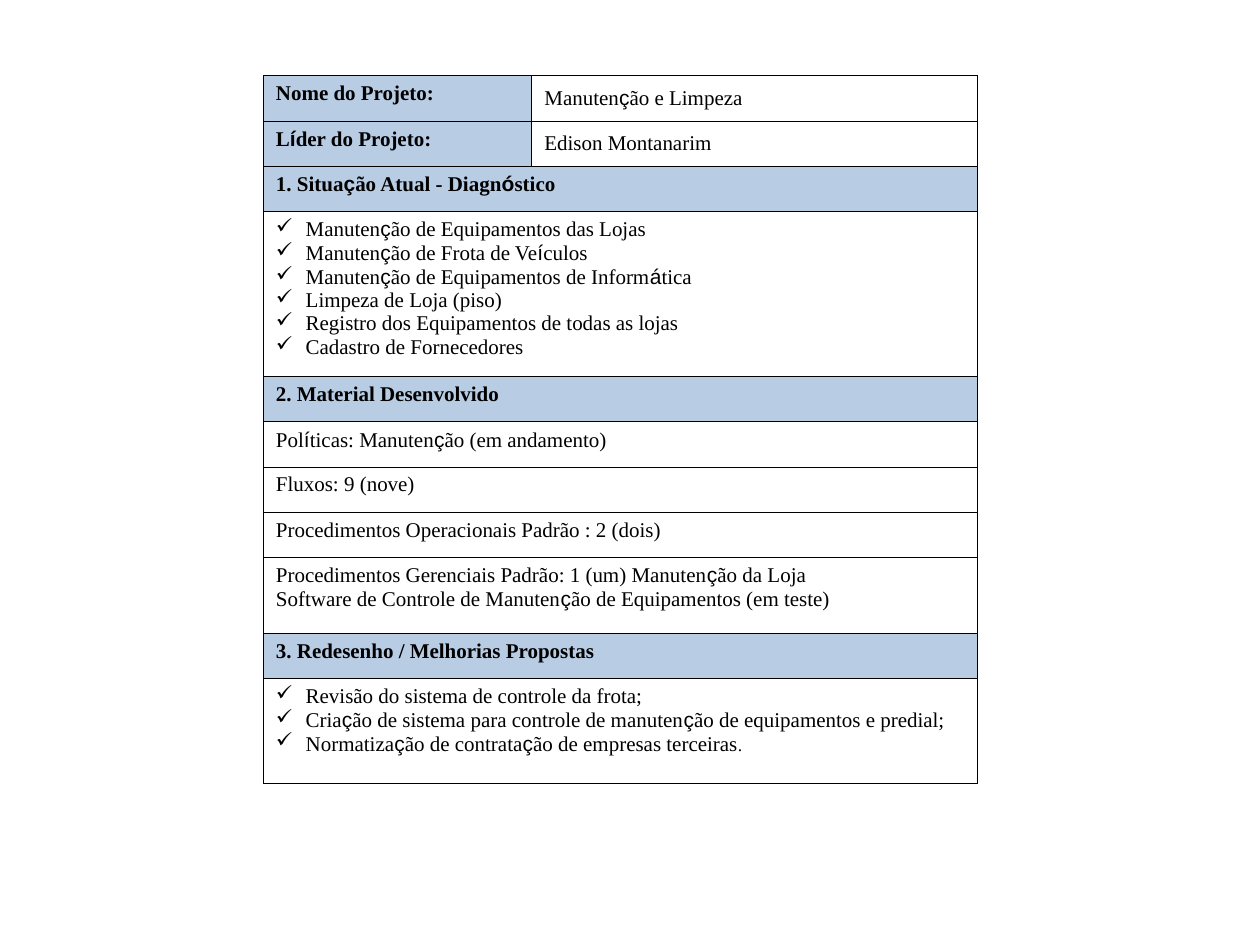
"""Build a one-slide project summary table."""
from dataclasses import dataclass
from itertools import groupby

from lxml.etree import SubElement
from pptx import Presentation
from pptx.dml.color import RGBColor
from pptx.enum.text import MSO_ANCHOR, PP_ALIGN
from pptx.oxml.ns import qn
from pptx.table import _Cell
from pptx.text.text import _Paragraph
from pptx.util import Pt

BLACK = RGBColor(0x00, 0x00, 0x00)
WHITE = RGBColor(0xFF, 0xFF, 0xFF)
HEADING_BLUE = RGBColor(0xB8, 0xCC, 0xE4)
MAIN_FONT = "Times New Roman"
ACCENT_FONT = "Arial"
ACCENTED_LETTERS = "çíóá"
TEXT_SIZE = Pt(12)
SMALL_SIZE = Pt(10)
BORDER_WIDTH = Pt(0.45)
BULLET_INDENT = Pt(17)
LINE_ROW = 25.9
COLUMN_WIDTHS = (153.4, 254.9)


@dataclass(frozen=True)
class CellContent:
    lines: tuple[str, ...]
    heading: bool = False
    bulleted: bool = False
    justified: bool = False
    middle: bool = False
    small_ending: str = ""


@dataclass(frozen=True)
class TableRow:
    cells: tuple[CellContent, ...]
    height: float = LINE_ROW


def heading(text: str) -> CellContent:
    return CellContent((text,), heading=True, justified=True)


def value(text: str) -> CellContent:
    return CellContent((text,), middle=True)


def checklist(*lines: str, small_ending: str = "") -> CellContent:
    return CellContent(lines, bulleted=True, justified=True, small_ending=small_ending)


ROWS = (
    TableRow((heading("Nome do Projeto:"), value("Manutenção e Limpeza"))),
    TableRow((heading("Líder do Projeto:"), value("Edison Montanarim"))),
    TableRow((heading("1. Situação Atual - Diagnóstico"),)),
    TableRow((checklist(
        "Manutenção de Equipamentos das Lojas",
        "Manutenção de Frota de Veículos",
        "Manutenção de Equipamentos de Informática",
        "Limpeza de Loja (piso)",
        "Registro dos Equipamentos de todas as lojas",
        "Cadastro de Fornecedores",
    ),), 94.2),
    TableRow((heading("2. Material Desenvolvido"),)),
    TableRow((CellContent(("Políticas: Manutenção (em andamento)",)),)),
    TableRow((CellContent(("Fluxos: 9 (nove)",)),)),
    TableRow((CellContent(("Procedimentos Operacionais Padrão : 2 (dois)",)),)),
    TableRow((CellContent((
        "Procedimentos Gerenciais Padrão: 1 (um) Manutenção da Loja",
        "Software de Controle de Manutenção de Equipamentos (em teste)",
    )),), 43.4),
    TableRow((heading("3. Redesenho / Melhorias Propostas"),)),
    TableRow((checklist(
        "Revisão do sistema de controle da frota;",
        "Criação de sistema para controle de manutenção de equipamentos e predial;",
        "Normatização de contratação de empresas terceiras",
        small_ending=".",
    ),), 60),
)


def add_check_bullet(para: _Paragraph) -> None:
    properties = para._p.get_or_add_pPr()
    properties.set("marL", str(BULLET_INDENT))
    properties.set("indent", str(-BULLET_INDENT))
    color = SubElement(properties, qn("a:buClr"))
    SubElement(color, qn("a:srgbClr"), val=str(BLACK))
    SubElement(properties, qn("a:buChar"), char="✓")


def add_span(para: _Paragraph, text: str, font_name: str, bold: bool, size: Pt = TEXT_SIZE) -> None:
    span = para.add_run()
    span.text = text
    span.font.name = font_name
    span.font.size = size
    span.font.bold = bold
    span.font.color.rgb = BLACK


def add_text(para: _Paragraph, text: str, bold: bool) -> None:
    for accented, letters in groupby(text, lambda letter: letter in ACCENTED_LETTERS):
        add_span(para, "".join(letters), ACCENT_FONT if accented else MAIN_FONT, bold)


def style_cell(cell: _Cell, fill_color: RGBColor) -> None:
    properties = cell._tc.get_or_add_tcPr()
    for side in ("lnL", "lnR", "lnT", "lnB"):
        border = SubElement(properties, qn(f"a:{side}"), w=str(BORDER_WIDTH))
        fill = SubElement(border, qn("a:solidFill"))
        SubElement(fill, qn("a:srgbClr"), val=str(BLACK))
    cell.fill.solid()
    cell.fill.fore_color.rgb = fill_color
    cell.margin_left = cell.margin_right = Pt(7.2)
    cell.margin_top = cell.margin_bottom = Pt(3.6)


def write_cell(cell: _Cell, content: CellContent) -> None:
    cell.vertical_anchor = MSO_ANCHOR.MIDDLE if content.middle else MSO_ANCHOR.TOP
    frame = cell.text_frame
    for index, line in enumerate(content.lines):
        para = frame.add_paragraph() if index else frame.paragraphs[0]
        para.alignment = PP_ALIGN.JUSTIFY if content.justified else PP_ALIGN.LEFT
        if content.bulleted:
            add_check_bullet(para)
        add_text(para, line, content.heading)
    if content.small_ending:
        add_span(para, content.small_ending, MAIN_FONT, content.heading, SMALL_SIZE)


def main() -> None:
    deck = Presentation()
    deck.slide_width, deck.slide_height = Pt(720), Pt(540)
    page = deck.slides.add_slide(deck.slide_layouts[6])
    table = page.shapes.add_table(
        len(ROWS), len(COLUMN_WIDTHS), Pt(150.5), Pt(43.2),
        Pt(sum(COLUMN_WIDTHS)), Pt(sum(row.height for row in ROWS)),
    ).table
    table.first_row = table.horz_banding = False
    for column, width in zip(table.columns, COLUMN_WIDTHS):
        column.width = Pt(width)
    for index, row in enumerate(ROWS):
        table.rows[index].height = Pt(row.height)
        cells = [table.cell(index, column) for column in range(len(COLUMN_WIDTHS))]
        for position, cell in enumerate(cells):
            content = row.cells[min(position, len(row.cells) - 1)]
            style_cell(cell, HEADING_BLUE if content.heading else WHITE)
        if len(row.cells) == 1:
            cells[0].merge(cells[-1])
        for cell, content in zip(cells, row.cells):
            write_cell(cell, content)
    deck.save("out.pptx")


if __name__ == "__main__":
    main()
